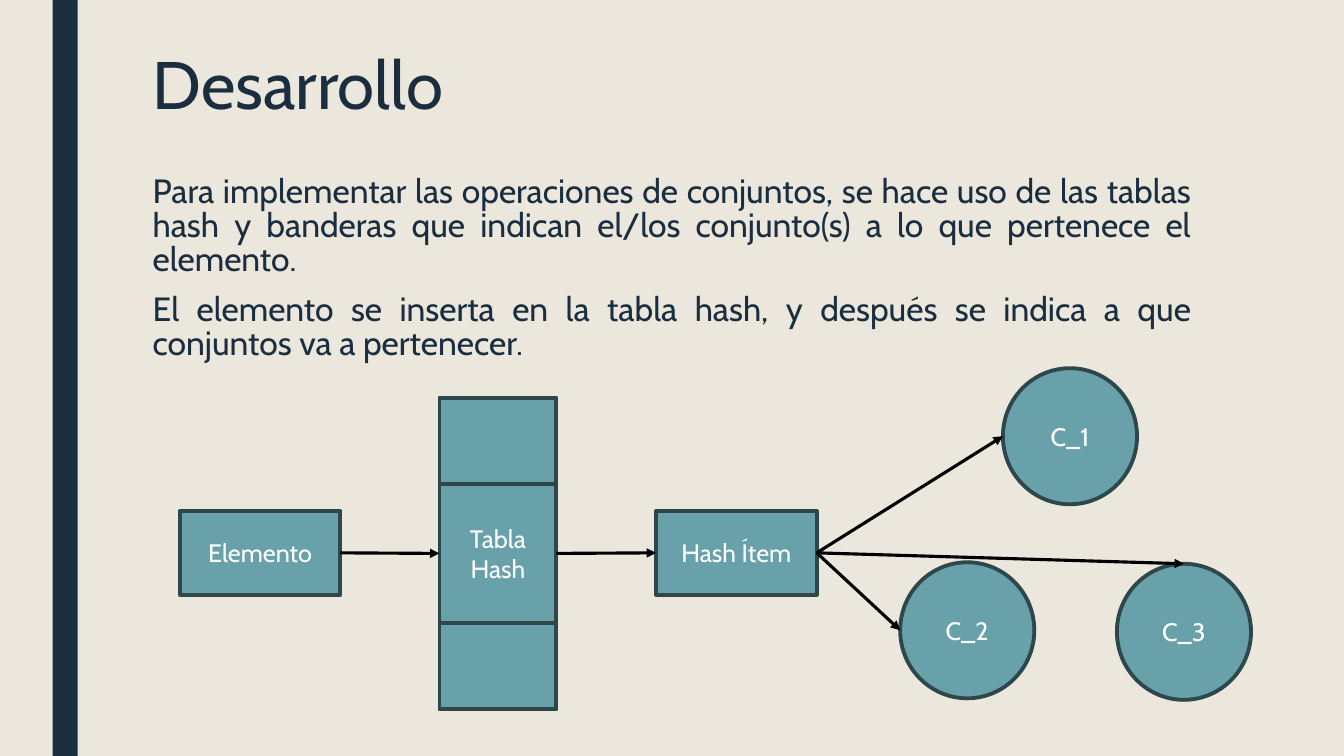
from pptx import Presentation
from pptx.dml.color import RGBColor
from pptx.enum.shapes import MSO_CONNECTOR, MSO_SHAPE as Shape
from pptx.enum.text import MSO_ANCHOR as Anchor, PP_ALIGN as Align
from pptx.oxml.ns import qn
from pptx.util import Pt
from lxml.etree import SubElement

NAVY, TEAL, EDGE, WHITE = "1A2E40", "69A1AB", "2E474B", "FFFFFF"


def paint(color_format, color):
    color_format.rgb = RGBColor.from_string(color)


def write(frame, *paragraphs, size=18, color=WHITE, align=Align.CENTER,
          anchor=Anchor.MIDDLE, line_spacing=1.0, before=0, after=0):
    frame.word_wrap = True
    frame.vertical_anchor = anchor
    for index, text in enumerate(paragraphs):
        paragraph = frame.add_paragraph() if index else frame.paragraphs[0]
        paragraph.alignment = align
        paragraph.line_spacing = line_spacing
        paragraph.space_before, paragraph.space_after = Pt(before), Pt(after)
        run = paragraph.add_run()
        run.text = text
        run.font.name, run.font.size = "Cabin", Pt(size)
        paint(run.font.color, color)


prs = Presentation()
prs.slide_width, prs.slide_height = Pt(960), Pt(540)
slide = prs.slides.add_slide(prs.slide_layouts[6])
slide.background.fill.solid()
paint(slide.background.fill.fore_color, "EBE7DD")
shapes = slide.shapes

side_bar = shapes.add_shape(Shape.RECTANGLE, Pt(37.5), 0, Pt(18), Pt(540))
side_bar.shadow.inherit = False
side_bar.fill.solid()
paint(side_bar.fill.fore_color, NAVY)
side_bar.line.fill.background()

title = shapes.add_textbox(Pt(102), Pt(34), Pt(756), Pt(116))
write(title.text_frame, "Desarrollo", size=48, color=NAVY, align=Align.LEFT,
      anchor=Anchor.TOP, line_spacing=0.89)

explanation = shapes.add_textbox(Pt(102), Pt(122.4), Pt(756), Pt(147.6))
write(explanation.text_frame,
      "Para implementar las operaciones de conjuntos, se hace uso de las tablas "
      "hash y banderas que indican el/los conjunto(s) a lo que pertenece el elemento.",
      "El elemento se inserta en la tabla hash, y después se indica a que "
      "conjuntos va a pertenecer.",
      size=24, color=NAVY, align=Align.JUSTIFY, anchor=Anchor.TOP,
      line_spacing=0.84, before=10, after=2)

BOX, CIRCLE, TABLE, SLOT = (114.8, 59.8), (95.8, 97.2), (83.5, 221.8), (83.5, 61.2)
TABLE_X, TABLE_Y = 313.9, 284.4
nodes = []
for kind, label, left, top, (width, height) in [
    (Shape.RECTANGLE, "Elemento", 128.4, 365, BOX),
    (Shape.RECTANGLE, "Hash Ítem", 468.6, 365, BOX),
    (Shape.OVAL, "C_1", 716.4, 263, CIRCLE),
    (Shape.OVAL, "C_2", 643, 401.6, CIRCLE),
    (Shape.OVAL, "C_3", 797.8, 402.7, CIRCLE),
    (Shape.RECTANGLE, "Tabla Hash", TABLE_X, TABLE_Y, TABLE),
    (Shape.RECTANGLE, "", TABLE_X, TABLE_Y, SLOT),
    (Shape.RECTANGLE, "", TABLE_X, TABLE_Y + TABLE[1] - SLOT[1], SLOT),
]:
    node = shapes.add_shape(kind, Pt(left), Pt(top), Pt(width), Pt(height))
    node.shadow.inherit = False
    node.fill.solid()
    paint(node.fill.fore_color, TEAL)
    paint(node.line.color, EDGE)
    node.line.width = Pt(2.75)
    if label:
        write(node.text_frame, label)
    nodes.append(node)
element, hash_item, set_1, set_2, set_3, hash_table = nodes[:6]

TOP, LEFT, RIGHT = 0, 1, 3
for source, target, side in [
    (element, hash_table, LEFT),
    (hash_table, hash_item, LEFT),
    (hash_item, set_1, LEFT),
    (hash_item, set_2, LEFT),
    (hash_item, set_3, TOP),
]:
    end_x = target.left + (target.width // 2 if side == TOP else 0)
    end_y = target.top + (target.height // 2 if side == LEFT else 0)
    arrow = shapes.add_connector(MSO_CONNECTOR.STRAIGHT, source.left + source.width,
                                 source.top + source.height // 2, end_x, end_y)
    arrow.begin_connect(source, RIGHT)
    if target.auto_shape_type == Shape.RECTANGLE:
        arrow.end_connect(target, side)
    paint(arrow.line.color, "000000")
    arrow.line.width = Pt(2.25)
    SubElement(arrow.line._get_or_add_ln(), qn("a:tailEnd"), type="triangle")
    SubElement(arrow._element.spPr, qn("a:effectLst"))

prs.save("out.pptx")
